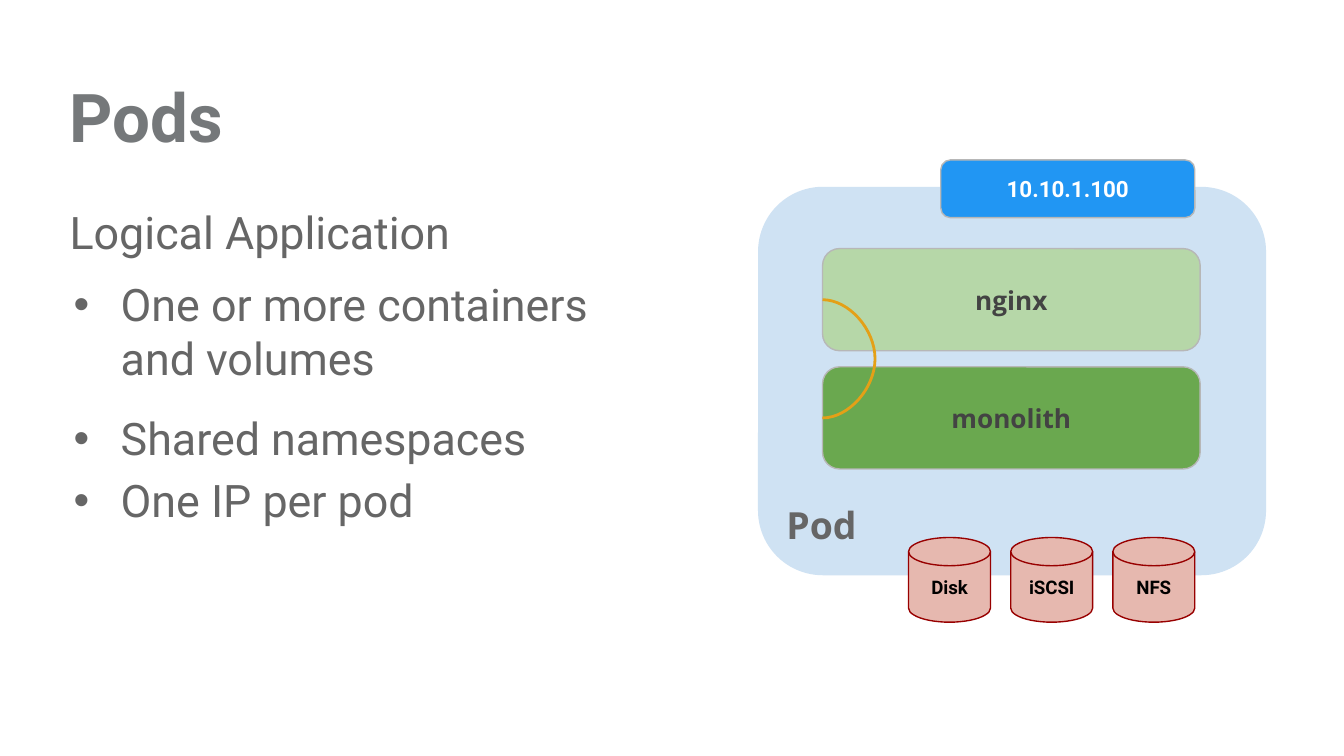
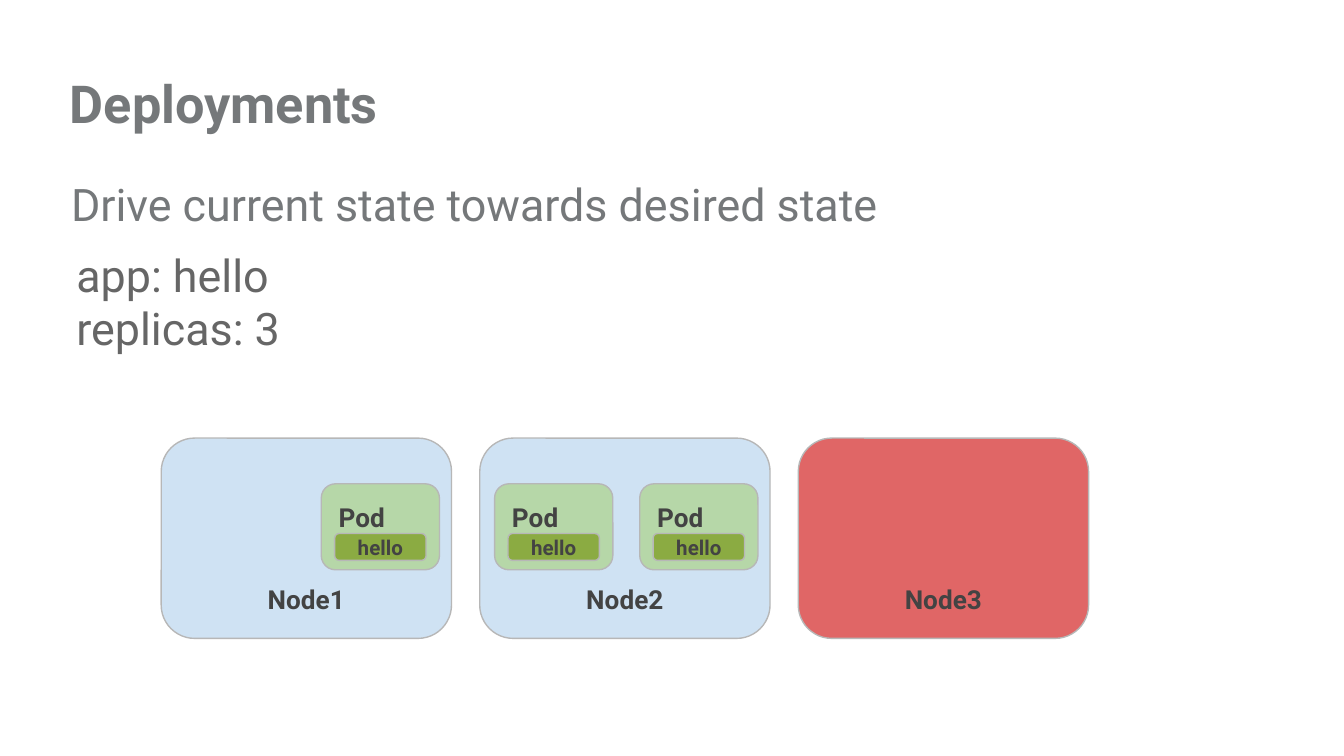
"""Build two slides explaining pods and deployments."""
from lxml.etree import SubElement
from pptx import Presentation
from pptx.dml.color import RGBColor
from pptx.enum.shapes import MSO_CONNECTOR, MSO_SHAPE
from pptx.enum.text import MSO_ANCHOR, MSO_AUTO_SIZE, PP_ALIGN
from pptx.oxml.ns import qn
from pptx.util import Pt

PX = 9144
LEFT, TOP_SIDE_LEFT = 42, 1

TITLE_GRAY = RGBColor(0x75, 0x78, 0x7A)
GRAY = RGBColor(0x66, 0x66, 0x66)
DARK = RGBColor(0x43, 0x43, 0x43)
BORDER = RGBColor(0xB7, 0xB7, 0xB7)
BLACK = RGBColor(0x00, 0x00, 0x00)
WHITE = RGBColor(0xFF, 0xFF, 0xFF)
PALE_BLUE = RGBColor(0xCF, 0xE2, 0xF3)
BLUE = RGBColor(0x21, 0x96, 0xF3)
PALE_GREEN = RGBColor(0xB6, 0xD7, 0xA8)
GREEN = RGBColor(0x6A, 0xA8, 0x4F)
OLIVE = RGBColor(0x8B, 0xAB, 0x42)
RED = RGBColor(0xE0, 0x66, 0x66)
PINK = RGBColor(0xE6, 0xB8, 0xAF)
DARK_RED = RGBColor(0x98, 0x00, 0x00)
ORANGE = RGBColor(0xE4, 0xA0, 0x17)


def add_bullet(p, color):
    pPr = p._p.get_or_add_pPr()
    pPr.set("marL", str(38 * PX))
    pPr.set("indent", str(-35 * PX))
    clr = SubElement(pPr, qn("a:buClr"))
    SubElement(clr, qn("a:srgbClr"), val=str(color))
    SubElement(pPr, qn("a:buFont"), typeface="Arial")
    SubElement(pPr, qn("a:buChar"), char="•")


def write(tf, text, size=24, color=GRAY, font="Roboto", bold=False,
          align=PP_ALIGN.LEFT, spacing=None, after=0, bullet=False):
    p = tf.add_paragraph() if tf.text else tf.paragraphs[0]
    if bullet:
        add_bullet(p, color)
    p.alignment = align
    p.line_spacing = spacing
    p.space_after = Pt(after)
    r = p.add_run()
    r.text = text
    r.font.name = font
    r.font.size = Pt(size)
    r.font.bold = bold
    r.font.color.rgb = color


class Deck:
    """Holds the presentation, its style and the current slide."""

    def __init__(self):
        self.prs = Presentation()
        self.prs.slide_width = 1000 * PX
        self.prs.slide_height = 5143500
        self.s = None

    def frame(self, sp, anchor=MSO_ANCHOR.TOP, inset=10):
        tf = sp.text_frame
        tf.word_wrap = True
        tf.auto_size = MSO_AUTO_SIZE.NONE
        tf.vertical_anchor = anchor
        tf.margin_left = tf.margin_right = inset * PX
        tf.margin_top = tf.margin_bottom = inset * PX
        return tf

    def slide(self, title, y, h, size):
        self.s = self.prs.slides.add_slide(self.prs.slide_layouts[5])
        sp = self.s.shapes.title
        sp.left, sp.top, sp.width, sp.height = (v * PX for v in (LEFT, y, 900, h))
        write(self.frame(sp), title, size=size, color=TITLE_GRAY, bold=True, spacing=0.9)

    def text(self, x, y, w, h, anchor=MSO_ANCHOR.TOP):
        sp = self.s.shapes.add_textbox(x * PX, y * PX, w * PX, h * PX)
        return self.frame(sp, anchor)

    def box(self, label, x, y, w, h, fill, line=BORDER, kind=MSO_SHAPE.ROUNDED_RECTANGLE,
            anchor=MSO_ANCHOR.MIDDLE, inset=10, group=None, size=14, color=DARK,
            align=PP_ALIGN.CENTER, font="Roboto"):
        shapes = (group or self.s).shapes
        sp = shapes.add_shape(kind, x * PX, y * PX, w * PX, h * PX)
        sp.shadow.inherit = False
        sp.fill.solid()
        sp.fill.fore_color.rgb = fill
        if line is None:
            sp.line.fill.background()
        else:
            sp.line.color.rgb = line
            sp.line.width = Pt(0.75)
        write(self.frame(sp, anchor, inset), label, size=size, color=color,
              font=font, bold=True, align=align)
        return sp

    def pod(self, x, y):
        group = self.s.shapes.add_group_shape()
        self.box("Pod", x, y, 88, 64, PALE_GREEN, anchor=MSO_ANCHOR.TOP,
                 align=PP_ALIGN.LEFT, group=group)
        self.box("hello", x + 10, y + 37, 68, 20, OLIVE, size=11, group=group)

    def side_curve(self, first, second, bulge):
        sp = self.s.shapes.add_connector(MSO_CONNECTOR.CURVE, 0, 0, 0, 0)
        sp.begin_connect(first, TOP_SIDE_LEFT)
        sp.end_connect(second, TOP_SIDE_LEFT)
        sp.width = PX // 16
        sp.line.color.rgb = ORANGE
        sp.line.width = Pt(1.5)
        spPr = sp._element.spPr
        SubElement(spPr, qn("a:effectLst"))
        guides = spPr.find(qn("a:prstGeom")).get_or_add_avLst()
        SubElement(guides, qn("a:gd"), name="adj1", fmla=f"val {-bulge * 16 * 100000}")


def pods(deck):
    deck.slide("Pods", y=53, h=100, size=36)
    tf = deck.text(LEFT, 142, 456, 350)
    write(tf, "Logical Application", after=10)
    write(tf, "One or more containers and volumes", after=10, bullet=True)
    for text in ("Shared namespaces", "One IP per pod"):
        write(tf, text, spacing=1.15, bullet=True)

    deck.box("Pod", 564, 139, 378, 289, PALE_BLUE, line=None, anchor=MSO_ANCHOR.BOTTOM,
             inset=7, size=20, color=GRAY, align=PP_ALIGN.LEFT, font="Open Sans")
    containers = [
        deck.box(name, 612, 185 + 88 * i, 281, 76, fill, inset=7, font="Open Sans")
        for i, (name, fill) in enumerate((("nginx", PALE_GREEN), ("monolith", GREEN)))
    ]
    for i, name in enumerate(("Disk", "iSCSI", "NFS")):
        deck.box(name, 676 + 76 * i, 400, 61, 63, PINK, line=DARK_RED, inset=7,
                 kind=MSO_SHAPE.FLOWCHART_MAGNETIC_DISK, size=10, color=BLACK)
    deck.box("10.10.1.100", 700, 119, 189, 43, BLUE, inset=7, size=12, color=WHITE)
    deck.side_curve(*containers, bulge=31)


def deployments(deck):
    deck.slide("Deployments", y=48, h=64, size=28)
    write(deck.text(LEFT + 1, 48, 648, 207, MSO_ANCHOR.MIDDLE),
          "Drive current state towards desired state", color=TITLE_GRAY, after=20)
    tf = deck.text(47, 174, 229, 118)
    for text in ("app: hello", "replicas: 3"):
        write(tf, text)

    nodes = (("Node1", PALE_BLUE, (119,)), ("Node2", PALE_BLUE, (11, 119)), ("Node3", RED, ()))
    for i, (name, fill, pod_offsets) in enumerate(nodes):
        x = 120 + 237 * i
        deck.box(name, x, 326, 216, 149, fill, anchor=MSO_ANCHOR.BOTTOM)
        for offset in pod_offsets:
            deck.pod(x + offset, 360)


def main():
    deck = Deck()
    pods(deck)
    deployments(deck)
    deck.prs.save("out.pptx")


if __name__ == "__main__":
    main()
